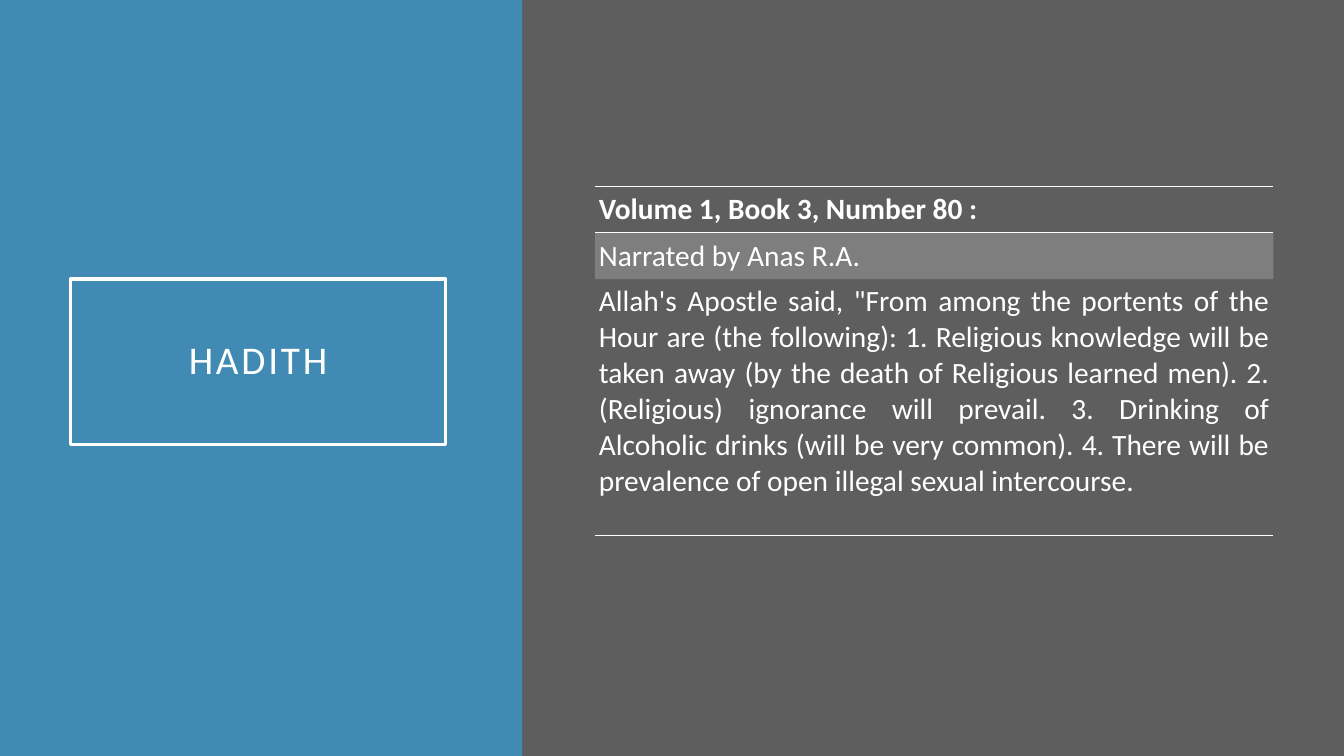
import pptx
import pptx.dml.color
import pptx.enum.shapes
import pptx.enum.text
import pptx.oxml
import pptx.oxml.ns
import pptx.util

Inches = pptx.util.Inches
Pt = pptx.util.Pt
RGBColor = pptx.dml.color.RGBColor
Align = pptx.enum.text.PP_ALIGN
Anchor = pptx.enum.text.MSO_ANCHOR

BLUE = RGBColor(0x41, 0x8A, 0xB3)
GRAY = RGBColor(0x5E, 0x5E, 0x5E)
WHITE = RGBColor(0xFF, 0xFF, 0xFF)
FONT = "Calibri"
NO_GRID_STYLE = "{2D5ABB26-0587-4C30-8999-92F81FD0307C}"

ROWS = [
    {"text": "Volume 1, Book 3, Number 80 :", "height": 0.46, "bold": True,
     "align": Align.LEFT, "anchor": Anchor.MIDDLE, "borders": ("T", "B"), "shaded": False},
    {"text": "Narrated by Anas R.A.", "height": 0.46, "bold": False,
     "align": Align.LEFT, "anchor": Anchor.MIDDLE, "borders": (), "shaded": True},
    {"text": "Allah's Apostle said, \"From among the portents of the Hour are (the following): "
             "1. Religious knowledge will be taken away (by the death of Religious learned men). "
             "2. (Religious) ignorance will prevail. 3. Drinking of Alcoholic drinks (will be very "
             "common). 4. There will be prevalence of open illegal sexual intercourse. ",
     "height": 2.54, "bold": False, "align": Align.JUSTIFY, "anchor": Anchor.TOP,
     "borders": ("B",), "shaded": False},
]


def apply_format(target, values):
    """Set each attribute in values on the target."""
    for name, value in values.items():
        setattr(target, name, value)


def write_text(para, text, size, bold=False):
    """Add one white run to the paragraph and return it."""
    span = para.add_run()
    span.text = text
    apply_format(span.font, {"name": FONT, "size": Pt(size), "bold": bold})
    span.font.color.rgb = WHITE
    return span


def add_panel(page, box, color):
    """Fill the box with a plain rectangle."""
    panel = page.shapes.add_shape(
        pptx.enum.shapes.MSO_SHAPE.RECTANGLE, *map(Inches, box))
    panel.shadow.inherit = False
    panel.fill.solid()
    panel.fill.fore_color.rgb = color
    panel.line.fill.background()


def add_title(page, box, text):
    """Place the outlined, letter-spaced title in the box."""
    title = page.shapes.add_textbox(*map(Inches, box))
    title.line.color.rgb = WHITE
    title.line.width = Pt(2.5)
    margin = Inches(0.2)
    apply_format(title.text_frame, {
        "word_wrap": True, "vertical_anchor": Anchor.MIDDLE,
        "margin_left": margin, "margin_right": margin,
        "margin_top": margin, "margin_bottom": margin})
    para = title.text_frame.paragraphs[0]
    apply_format(para, {"alignment": Align.CENTER, "line_spacing": 0.9})
    span = write_text(para, text, 28)
    span.font._element.set("spc", "200")


def add_border(cell, side):
    """Draw a thin white line on one side of the cell."""
    line = pptx.oxml.parse_xml(
        f'<a:ln{side} {pptx.oxml.ns.nsdecls("a")} w="{Pt(1)}"><a:solidFill>'
        f'<a:srgbClr val="{WHITE}"/></a:solidFill></a:ln{side}>')
    properties = cell._tc.get_or_add_tcPr()
    properties.insert(len(properties) - 1, line)


def shade_cell(cell):
    """Fill the cell with white at one fifth opacity."""
    cell.fill.solid()
    cell.fill.fore_color.rgb = WHITE
    color = cell._tc.tcPr.find(".//" + pptx.oxml.ns.qn("a:srgbClr"))
    color.append(pptx.oxml.parse_xml(
        f'<a:alpha {pptx.oxml.ns.nsdecls("a")} val="20000"/>'))


def add_passage(page, box, rows):
    """Place the passage table in the box, one row per entry."""
    table = page.shapes.add_table(len(rows), 1, *map(Inches, box)).table
    apply_format(table, {"first_row": False, "horz_banding": False})
    table._tbl.tblPr.find(pptx.oxml.ns.qn("a:tableStyleId")).text = NO_GRID_STYLE
    margin = Inches(0.04)
    for index, row in enumerate(rows):
        table.rows[index].height = Inches(row["height"])
        cell = table.cell(index, 0)
        apply_format(cell, {
            "vertical_anchor": row["anchor"],
            "margin_left": margin, "margin_right": margin,
            "margin_top": margin, "margin_bottom": margin})
        if row["shaded"]:
            shade_cell(cell)
        else:
            cell.fill.background()
        for side in row["borders"]:
            add_border(cell, side)
        para = cell.text_frame.paragraphs[0]
        para.alignment = row["align"]
        write_text(para, row["text"], 21, row["bold"])


def main():
    """Build the slide and save it."""
    deck = pptx.Presentation()
    apply_format(deck, {"slide_width": Inches(13.33), "slide_height": Inches(7.5)})
    page = deck.slides.add_slide(deck.slide_layouts[6])
    page.background.fill.solid()
    page.background.fill.fore_color.rgb = GRAY
    add_panel(page, (0, 0, 5.18, 7.5), BLUE)
    add_title(page, (0.7, 2.77, 3.72, 1.64), "HADITH")
    add_panel(page, (5.2, 0, 8.13, 7.5), GRAY)
    add_passage(page, (5.9, 1.85, 6.73, 3.46), ROWS)
    deck.save("out.pptx")


if __name__ == "__main__":
    main()
